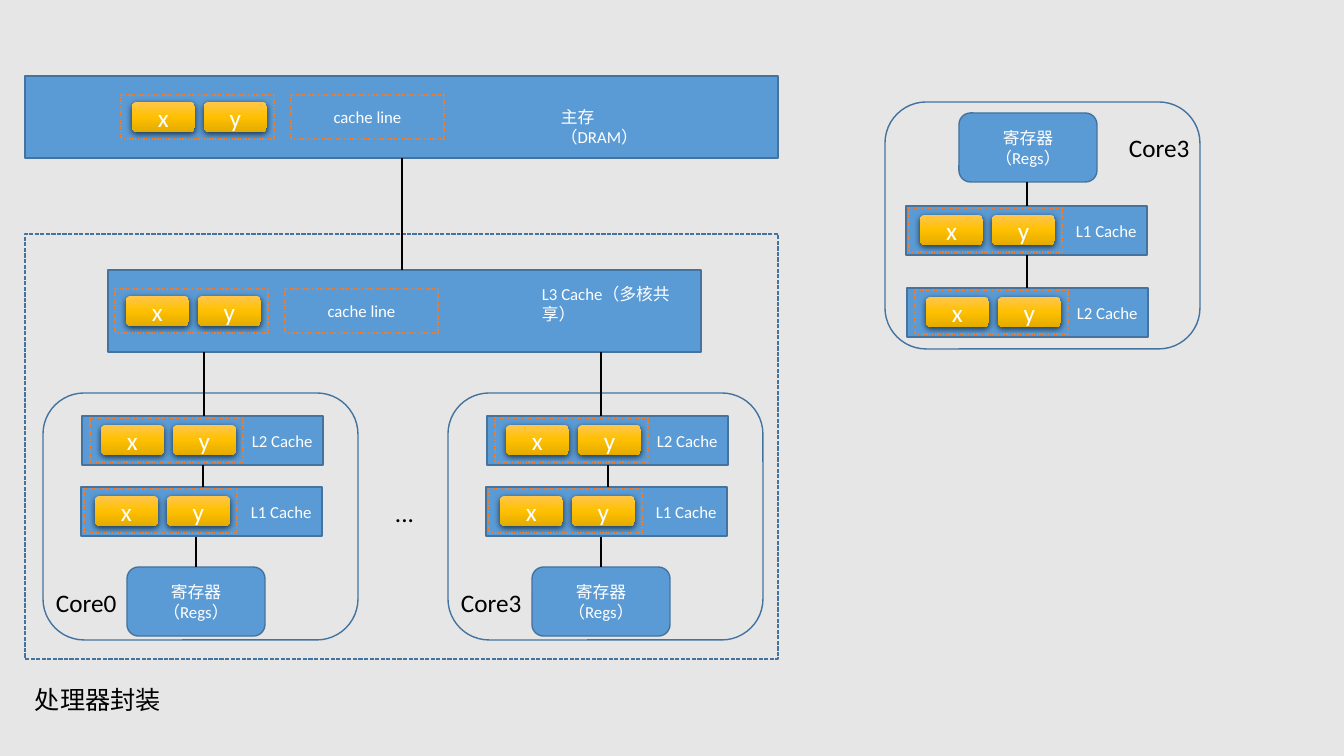
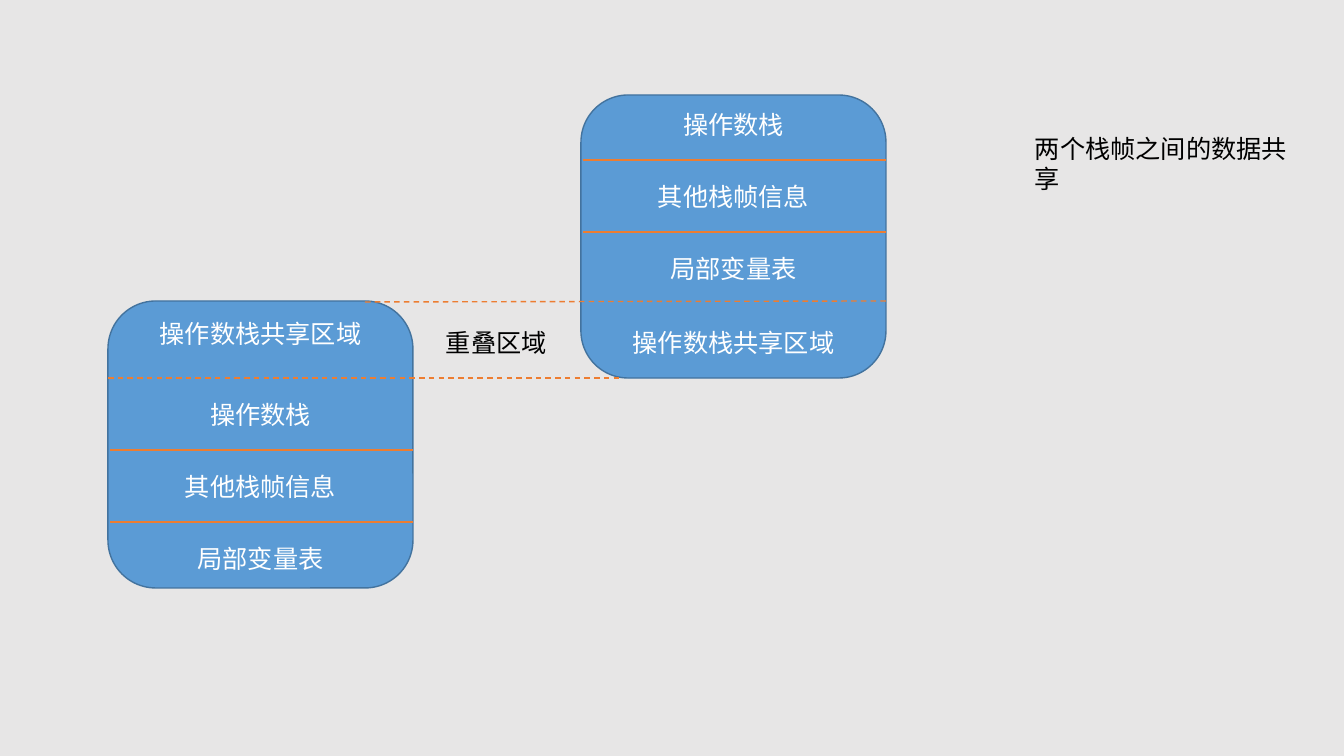
import copy
from collections import namedtuple
from dataclasses import dataclass

import pptx
import pptx.dml.color
import pptx.enum.dml
import pptx.enum.shapes
import pptx.enum.text
import pptx.oxml
import pptx.oxml.ns
import pptx.util

WIDE, HIGH = 1344, 756
SCALE = 12192000 / WIDE

RECT = pptx.enum.shapes.MSO_SHAPE.RECTANGLE
ROUND = pptx.enum.shapes.MSO_SHAPE.ROUNDED_RECTANGLE
DOT = pptx.enum.dml.MSO_LINE.ROUND_DOT
SQUARE = pptx.enum.dml.MSO_LINE.SQUARE_DOT
DASH = pptx.enum.dml.MSO_LINE.DASH
LEFT = pptx.enum.text.PP_ALIGN.LEFT
CENTER = pptx.enum.text.PP_ALIGN.CENTER


@dataclass(frozen=True)
class Theme:
    font: str = "Calibri"
    small: int = 12
    large: int = 18
    stroke: int = 1
    back: str = "E7E6E6"
    blue: str = "5B9BD5"
    edge: str = "43739E"
    orange: str = "ED7D31"
    white: str = "FFFFFF"
    black: str = "000000"
    gold: tuple = ("FFC64B", "FFC000", "E3AB00")


THEME = Theme()

# Offsets inside a core frame; each link is x, y1, y2.
Plan = namedtuple("Plan", "regs l1 l2 name links")
DOWN = Plan((84, 174), (38, 94), (39, 23), (3, 189),
            ((160, 72, 94), (153, 144, 174)))
UP = Plan((74, 11), (21, 104), (22, 186), (234, 25),
          ((142, 80, 104), (142, 153, 186)))


def px(value):
    return pptx.util.Emu(round(value * SCALE))


def rgb(code):
    return pptx.dml.color.RGBColor.from_string(code)


def write(frame, text, size, color, align):
    frame.text = text
    para = frame.paragraphs[0]
    para.alignment = align
    para.font.name = THEME.font
    para.font.size = pptx.util.Pt(size)
    para.font.color.rgb = rgb(color)


def stroke(line, color, dash=None):
    line.color.rgb = rgb(color)
    line.width = pptx.util.Pt(THEME.stroke)
    if dash:
        line.dash_style = dash


def box(slide, kind, x, y, w, h, fill=None, edge=None, dash=None,
        text=None, size=THEME.small):
    shape = slide.shapes.add_shape(kind, px(x), px(y), px(w), px(h))
    shape.shadow.inherit = False
    if fill:
        shape.fill.solid()
        shape.fill.fore_color.rgb = rgb(fill)
    else:
        shape.fill.background()
    if edge:
        stroke(shape.line, edge, dash)
    else:
        shape.line.fill.background()
    if text:
        write(shape.text_frame, text, size, THEME.white, CENTER)
    return shape


def label(slide, x, y, w, h, text, size=THEME.large, color=THEME.black,
          align=LEFT, wrap=False):
    frame = slide.shapes.add_textbox(px(x), px(y), px(w), px(h)).text_frame
    frame.word_wrap = wrap
    frame.auto_size = pptx.enum.text.MSO_AUTO_SIZE.SHAPE_TO_FIT_TEXT
    write(frame, text, size, color, align)


def link(slide, x1, y1, x2, y2, color=THEME.black, dash=None):
    line = slide.shapes.add_connector(
        pptx.enum.shapes.MSO_CONNECTOR.STRAIGHT, px(x1), px(y1), px(x2), px(y2))
    stroke(line.line, color, dash)
    pptx.oxml.ns.qn("a:effectLst")
    line._element.spPr.append(pptx.oxml.parse_xml(
        f'<a:effectLst {pptx.oxml.ns.nsdecls("a")}/>'))


def chip(slide, x, y, text):
    """Gold key with a gradient and a soft shadow."""
    shape = box(slide, ROUND, x, y, 63, 30, text=text, size=THEME.large)
    fill = shape.fill
    fill.gradient()
    fill.gradient_angle = 270
    props = shape._element.spPr
    stops = props.find(".//" + pptx.oxml.ns.qn("a:gsLst"))
    stops.append(copy.deepcopy(stops[0]))
    for stop, place, color in zip(fill.gradient_stops, (0, 0.5, 1), THEME.gold):
        stop.position = place
        stop.color.rgb = rgb(color)
    props.find(pptx.oxml.ns.qn("a:effectLst")).append(pptx.oxml.parse_xml(
        f'<a:outerShdw {pptx.oxml.ns.nsdecls("a")} blurRad="57150" dist="19050"'
        ' dir="5400000" algn="ctr" rotWithShape="0">'
        f'<a:srgbClr val="{THEME.black}"><a:alpha val="63000"/></a:srgbClr>'
        '</a:outerShdw>'))


def slot(slide, x, y, text=None):
    box(slide, RECT, x, y, 153, 44, edge=THEME.orange, dash=DOT, text=text)


def pair(slide, x, y):
    """The x and y keys in one cache line."""
    for step, name in enumerate("xy"):
        chip(slide, x + 72 * step, y, name)
    slot(slide, x - 11, y - 7)


def memory(slide, x, y, w, inset, tag):
    """Wide bar with a pair, an empty cache line and a wrapped tag (x, y, w, text)."""
    box(slide, RECT, x, y, w, 82, THEME.blue, THEME.edge)
    pair(slide, x + inset, y + 26)
    slot(slide, x + inset + 159, y + 19, "cache line")
    left, top, span, text = tag
    label(slide, left, top, span, 30, text, THEME.small, THEME.white, wrap=True)


def cache(slide, x, y, inset, text):
    box(slide, RECT, x, y, 241, 49, THEME.blue, THEME.edge)
    pair(slide, x + inset, y + 9)
    label(slide, x + 160, y + 10, 81, 30, text, THEME.small, THEME.white)


def core(slide, x, y, name, plan):
    def at(spot):
        return x + spot[0], y + spot[1]

    box(slide, ROUND, x, y, 315, 247, edge=THEME.edge)
    cache(slide, *at(plan.l2), 19, "L2 Cache")
    cache(slide, *at(plan.l1), 14, "L1 Cache")
    box(slide, ROUND, *at(plan.regs), 138, 69, THEME.blue, THEME.edge,
        text="寄存器（Regs）")
    label(slide, *at(plan.name), 81, 40, name)
    for dx, start, end in plan.links:
        link(slide, x + dx, y + start, x + dx, y + end)


def stack(slide, x, y, h, first, shared):
    """Stack frame: three rows from first, and the shared row at its own top."""
    def row(top, text):
        label(slide, x, top, 305, 40, text, color=THEME.white, align=CENTER,
              wrap=True)

    box(slide, ROUND, x, y, 305, h, THEME.blue, THEME.edge)
    row(shared, "操作数栈共享区域")
    for step, text in enumerate(("操作数栈", "其他栈帧信息", "局部变量表")):
        row(first + 72 * step, text)
    for rule in (first + 56, first + 128):
        link(slide, x + 2, rule, x + 305, rule, THEME.orange)


def page(deck):
    slide = deck.slides.add_slide(deck.slide_layouts[6])
    slide.background.fill.solid()
    slide.background.fill.fore_color.rgb = rgb(THEME.back)
    return slide


def caches(deck):
    slide = page(deck)
    box(slide, RECT, 25, 234, 753, 425, edge=THEME.edge, dash=SQUARE)
    memory(slide, 25, 76, 753, 107, (551, 102, 128, "主存（DRAM）"))
    memory(slide, 108, 270, 593, 18, (532, 279, 181, "L3 Cache（多核共享）"))
    core(slide, 43, 393, "Core0", DOWN)
    core(slide, 448, 393, "Core3", DOWN)
    core(slide, 885, 102, "Core3", UP)
    for x, start, end in ((402, 158, 270), (204, 352, 416), (601, 352, 416)):
        link(slide, x, start, x, end)
    label(slide, 385, 492, 39, 40, "...", wrap=True)
    label(slide, 25, 679, 146, 40, "处理器封装")


def frames(deck):
    slide = page(deck)
    stack(slide, 108, 301, 287, 394, 313)
    stack(slide, 581, 95, 283, 104, 322)
    link(slide, 365, 302, 886, 301, THEME.orange, DASH)
    link(slide, 108, 378, 623, 378, THEME.orange, DASH)
    label(slide, 436, 322, 121, 40, "重叠区域")
    label(slide, 1025, 128, 297, 40, "两个栈帧之间的数据共享")


def main():
    deck = pptx.Presentation()
    deck.slide_width, deck.slide_height = px(WIDE), px(HIGH)
    caches(deck)
    frames(deck)
    deck.save("out.pptx")


if __name__ == "__main__":
    main()
